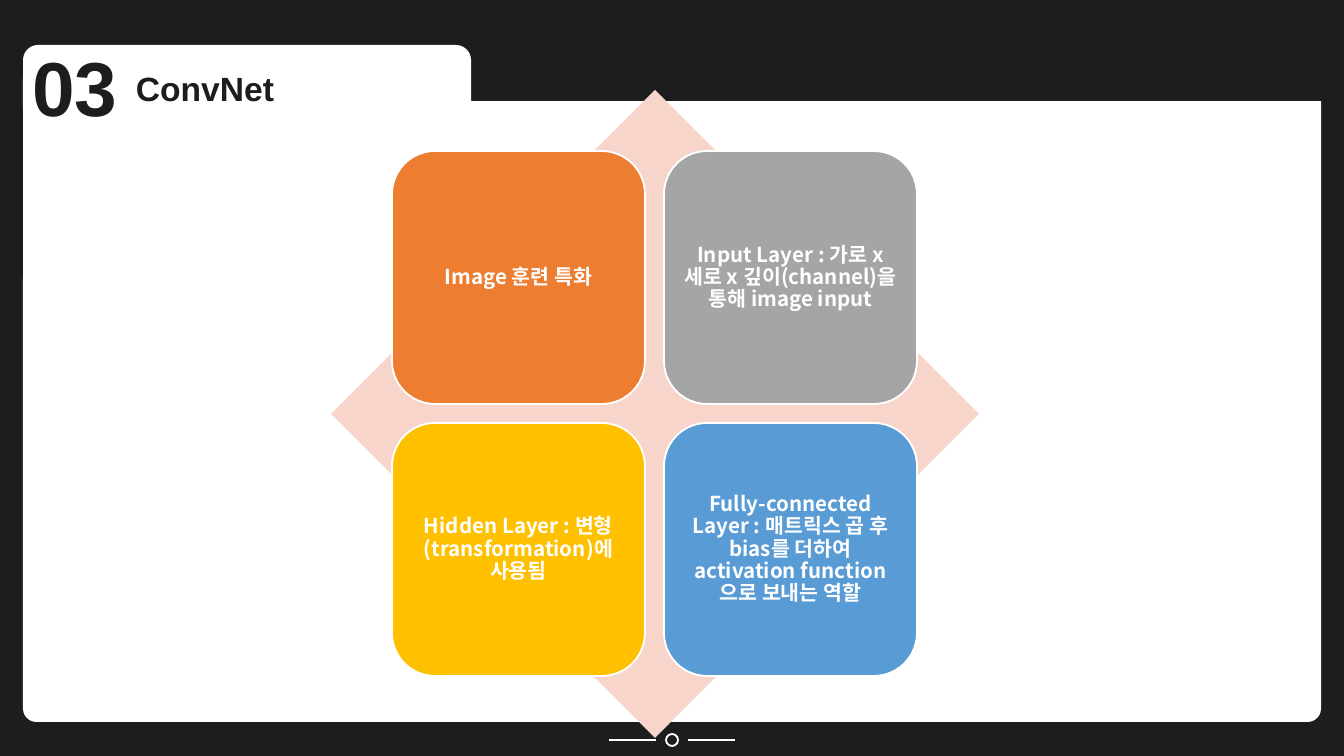
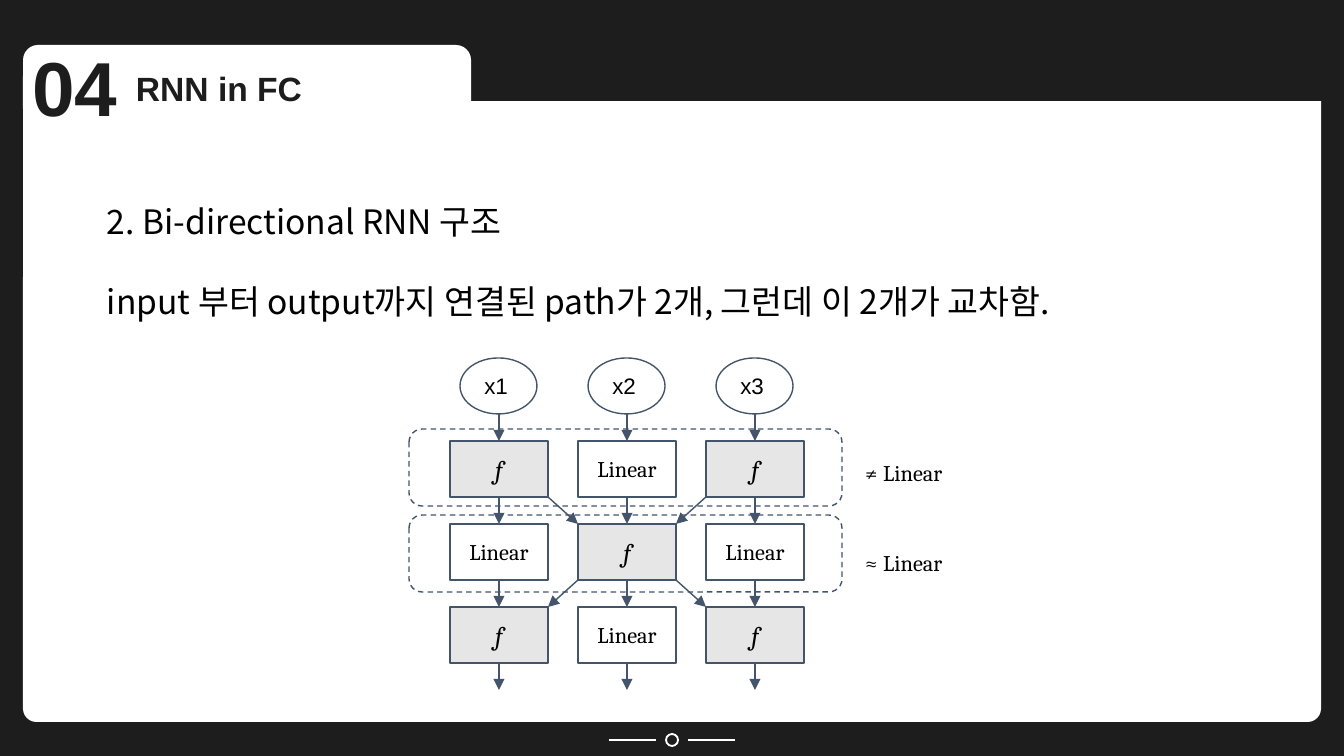
import dataclasses
import typing

import lxml.etree
import pptx
import pptx.dml.color
import pptx.enum.dml
import pptx.enum.shapes
import pptx.enum.text
import pptx.oxml.ns
import pptx.util

SHAPE = pptx.enum.shapes.MSO_SHAPE
ALIGN = pptx.enum.text.PP_ALIGN
ANCHOR = pptx.enum.text.MSO_ANCHOR
qn = pptx.oxml.ns.qn

# Colours and fonts
DARK, WHITE, BLACK = "1D1D1D", "FFFFFF", "000000"
SLATE, CELL_GREY, PINK = "44546A", "E7E6E6", "F7D5CB"
HEAD_FONT, KOREAN_FONT, MATH_FONT = "Arial", "Noto Sans CJK KR", "Cambria"

# Layouts of the default template
TITLE_AND_BODY, TITLE_ONLY = 1, 5


@dataclasses.dataclass(frozen=True)
class Box:
    x: int
    y: int
    w: int
    h: int


@dataclasses.dataclass(frozen=True)
class Style:
    size: int
    font: str
    color: str = BLACK
    bold: bool = False
    italic: bool = False


@dataclasses.dataclass(frozen=True)
class Card:
    text: str
    fill: str


HEADING = Style(18, HEAD_FONT, DARK, bold=True)
NUMBER = Style(41, HEAD_FONT, DARK, bold=True)
CARD_TEXT = Style(11, KOREAN_FONT, WHITE, bold=True)
BODY_TEXT = Style(18, KOREAN_FONT)
INPUT_TEXT = Style(12, HEAD_FONT)
LINEAR_TEXT = Style(12, MATH_FONT)
WIDE_GAP = Style(14, MATH_FONT)
F_TEXT = Style(14, MATH_FONT, italic=True)

CARDS = [
    Card("Image 훈련 특화", "ED7D31"),
    Card("Input Layer : 가로 x 세로 x 깊이(channel)을 통해 image input", "A5A5A5"),
    Card("Hidden Layer : 변형(transformation)에 사용됨", "FFC000"),
    Card("Fully-connected Layer : 매트릭스 곱 후 bias를 더하여 "
         "activation function으로 보내는 역할", "599BD5"),
]
BODY_LINES = [
    "2. Bi-directional RNN 구조",
    "input 부터 output까지 연결된 path가 2개, 그런데 이 2개가 교차함.",
]


def px(n: int) -> pptx.util.Emu:
    """134.4 px to the inch."""
    return pptx.util.Emu(round(n * 914400 / 134.4))


def rgb(color: str) -> pptx.dml.color.RGBColor:
    return pptx.dml.color.RGBColor.from_string(color)


# Text helpers
def add_run(p: typing.Any, text: str, style: Style) -> None:
    r = p.add_run()
    r.text = text
    r.font.size = pptx.util.Pt(style.size)
    r.font.name = style.font
    r.font.bold = style.bold
    r.font.italic = style.italic
    r.font.color.rgb = rgb(style.color)
    lxml.etree.SubElement(r.font._element, qn("a:ea"), typeface=style.font)


def set_frame(sp: typing.Any, inset_x: int, inset_y: int,
              anchor: ANCHOR = ANCHOR.TOP) -> typing.Any:
    tf = sp.text_frame
    tf.word_wrap = True
    tf.auto_size = pptx.enum.text.MSO_AUTO_SIZE.NONE
    tf.vertical_anchor = anchor
    tf.margin_left = tf.margin_right = px(inset_x)
    tf.margin_top = tf.margin_bottom = px(inset_y)
    return tf


def add_label(slide: typing.Any, box: Box, inset_x: int, inset_y: int,
              runs: list[tuple[str, Style]]) -> None:
    sp = slide.shapes.add_textbox(px(box.x), px(box.y), px(box.w), px(box.h))
    p = set_frame(sp, inset_x, inset_y).paragraphs[0]
    for text, style in runs:
        add_run(p, text, style)


def place(slide: typing.Any, sp: typing.Any, box: Box) -> None:
    """Move a placeholder to its box, in front of the frame."""
    sp.left, sp.top, sp.width, sp.height = px(box.x), px(box.y), px(box.w), px(box.h)
    slide.shapes._spTree.append(sp._element)


# Shape helpers
def add_shape(slide: typing.Any, kind: SHAPE, box: Box, fill: str | None = None,
              line: str | None = None, width: float = 1,
              adj: float | None = None) -> typing.Any:
    sp = slide.shapes.add_shape(kind, px(box.x), px(box.y), px(box.w), px(box.h))
    sp.shadow.inherit = False
    if adj is not None:
        sp.adjustments[0] = adj
    if fill:
        sp.fill.solid()
        sp.fill.fore_color.rgb = rgb(fill)
    else:
        sp.fill.background()
    if line:
        sp.line.color.rgb = rgb(line)
        sp.line.width = pptx.util.Pt(width)
    else:
        sp.line.fill.background()
    return sp


def write_in(sp: typing.Any, text: str, style: Style, inset: int,
             align: ALIGN = ALIGN.CENTER) -> typing.Any:
    p = set_frame(sp, inset, inset, ANCHOR.MIDDLE).paragraphs[0]
    p.alignment = align
    add_run(p, text, style)
    return p


def add_line(slide: typing.Any, x1: int, y1: int, x2: int, y2: int,
             color: str, width: float, arrow: bool = False) -> None:
    cxn = slide.shapes.add_connector(
        pptx.enum.shapes.MSO_CONNECTOR.STRAIGHT, px(x1), px(y1), px(x2), px(y2))
    cxn.line.color.rgb = rgb(color)
    cxn.line.width = pptx.util.Pt(width)
    if arrow:
        lxml.etree.SubElement(cxn.line._get_or_add_ln(), qn("a:tailEnd"), type="triangle")
    lxml.etree.SubElement(cxn._element.spPr, qn("a:effectLst"))


# Folder frame, footer mark, number and title
def add_slide(prs: typing.Any, layout: int, number: str, title: str) -> typing.Any:
    slide = prs.slides.add_slide(prs.slide_layouts[layout])
    add_shape(slide, SHAPE.ROUNDED_RECTANGLE, Box(23, 51, 1298, 671), WHITE, adj=0.02)
    add_shape(slide, SHAPE.ROUNDED_RECTANGLE, Box(378, 48, 956, 53), DARK, adj=0.05)
    add_shape(slide, SHAPE.ROUNDED_RECTANGLE, Box(23, 45, 448, 79), WHITE, adj=0.19)
    add_shape(slide, SHAPE.OVAL, Box(666, 734, 12, 12), line=WHITE)
    for x in (609, 688):
        add_line(slide, x, 740, x + 47, 740, WHITE, 1)

    sp = slide.shapes.title
    place(slide, sp, Box(126, 63, 339, 51))
    p = set_frame(sp, 10, 5).paragraphs[0]
    p.alignment = ALIGN.LEFT
    add_run(p, title, HEADING)
    add_label(slide, Box(22, 35, 106, 102), 10, 5, [(number, NUMBER)])
    return slide


def build_convnet(prs: typing.Any) -> None:
    slide = add_slide(prs, TITLE_ONLY, "03", "ConvNet")
    add_shape(slide, SHAPE.DIAMOND, Box(331, 90, 648, 648), PINK)
    pitch = 272
    for i, card in enumerate(CARDS):
        row, col = divmod(i, 2)
        box = Box(392 + col * pitch, 151 + row * pitch, 253, 253)
        sp = add_shape(slide, SHAPE.ROUNDED_RECTANGLE, box, card.fill, WHITE, adj=0.17)
        write_in(sp, card.text, CARD_TEXT, 6).line_spacing = 0.9


def build_rnn(prs: typing.Any) -> None:
    slide = add_slide(prs, TITLE_AND_BODY, "04", "RNN in FC")

    # Body text
    sp = slide.placeholders[1]
    place(slide, sp, Box(94, 194, 1142, 163))
    tf = set_frame(sp, 13, 7)
    for i, text in enumerate(BODY_LINES):
        p = tf.add_paragraph() if i else tf.paragraphs[0]
        pPr = p._p.get_or_add_pPr()
        pPr.set("marL", "0")
        pPr.set("indent", "0")
        lxml.etree.SubElement(pPr, qn("a:buNone"))
        p.space_before = pptx.util.Pt(21.5 if i else 0)
        add_run(p, text, BODY_TEXT)

    # Dashed layer bands and their labels
    for y, label_y, sign in ((429, 442, "≠"), (515, 532, "≈")):
        band = add_shape(slide, SHAPE.ROUNDED_RECTANGLE, Box(409, y, 433, 77),
                         line=SLATE, width=0.75, adj=0.17)
        band.line.dash_style = pptx.enum.dml.MSO_LINE.DASH
        add_label(slide, Box(852, label_y, 192, 42), 13, 13,
                  [(sign, LINEAR_TEXT), (" ", WIDE_GAP), ("Linear", LINEAR_TEXT)])

    # Grid of cells: f and Linear alternate like a chessboard
    left, top, cell_w, cell_h, gap = 450, 441, 98, 56, 27
    col_pitch, row_pitch = 128, cell_h + gap
    for col in range(3):
        x = left + col * col_pitch
        mid = x + cell_w // 2
        oval = add_shape(slide, SHAPE.OVAL, Box(mid - 39, top - row_pitch, 77, cell_h),
                         WHITE, SLATE, 0.75)
        write_in(oval, f"x{col + 1}", INPUT_TEXT, 13, ALIGN.LEFT)
        for row in range(3):
            is_f = (row + col) % 2 == 0
            cell = add_shape(slide, SHAPE.RECTANGLE,
                             Box(x, top + row * row_pitch, cell_w, cell_h),
                             CELL_GREY if is_f else None, SLATE, 0.75)
            write_in(cell, "f" if is_f else "Linear", F_TEXT if is_f else LINEAR_TEXT, 13)
        for row in range(4):
            y = top + row * row_pitch
            add_line(slide, mid, y - gap, mid, y, SLATE, 0.75, arrow=True)

    # Diagonal arrows: into the middle cell, then out of it
    for row, start, end in ((0, 0, 1), (0, 2, 1), (1, 1, 0), (1, 1, 2)):
        x1, x2 = left + start * col_pitch, left + end * col_pitch
        if start < end:
            x1 += cell_w
        else:
            x2 += cell_w
        y = top + row * row_pitch + cell_h
        add_line(slide, x1, y, x2, y + gap, SLATE, 0.75, arrow=True)


def main() -> None:
    prs = pptx.Presentation()
    prs.slide_width, prs.slide_height = px(1344), px(756)
    fill = prs.slide_master.background.fill
    fill.solid()
    fill.fore_color.rgb = rgb(DARK)
    build_convnet(prs)
    build_rnn(prs)
    prs.save("out.pptx")


if __name__ == "__main__":
    main()
